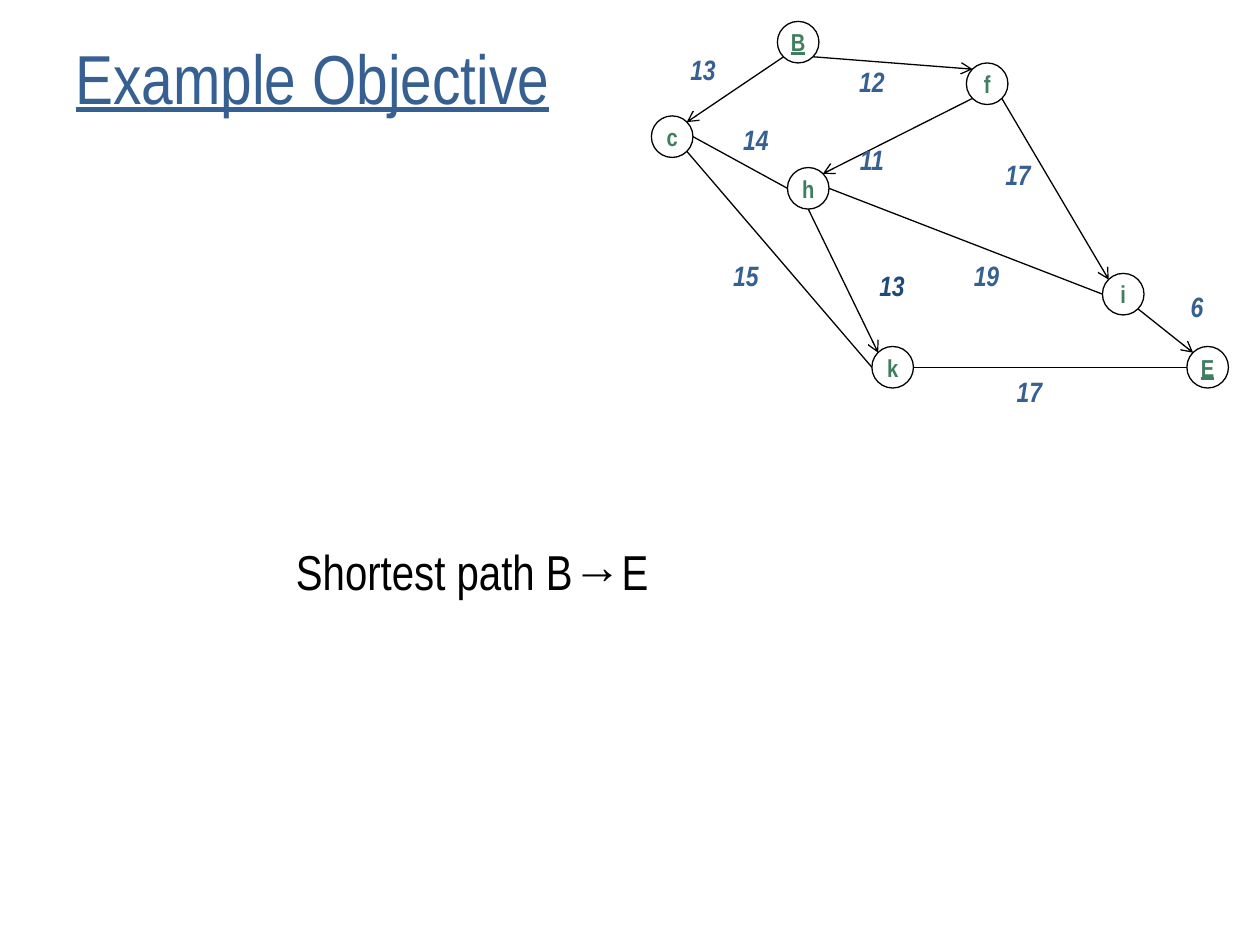
"""Build a slide with a weighted graph and its shortest path objective."""
from lxml import etree
from pptx import Presentation
from pptx.dml.color import RGBColor
from pptx.enum.shapes import MSO_CONNECTOR, MSO_SHAPE
from pptx.enum.text import MSO_ANCHOR, MSO_AUTO_SIZE, PP_ALIGN
from pptx.oxml.ns import qn
from pptx.util import Inches, Pt

STRAIGHT = MSO_CONNECTOR.STRAIGHT
OVAL = MSO_SHAPE.OVAL
MIDDLE = MSO_ANCHOR.MIDDLE
GROW = MSO_AUTO_SIZE.SHAPE_TO_FIT_TEXT
NO_FIT = MSO_AUTO_SIZE.NONE
LEFT, CENTER = PP_ALIGN.LEFT, PP_ALIGN.CENTER

FONT = "Arial Narrow"
COLORS = {"blue": "376092", "navy": "1F497D", "green": "3F7F5F", "black": "000000"}
DIAMETER = 0.33
NODES = {
    "i": (8.75, 2.17), "E": (9.42, 2.75), "c": (5.17, 0.92), "B": (6.17, 0.17),
    "f": (7.67, 0.5), "h": (6.25, 1.33), "k": (6.92, 2.75),
}
SITES = {
    "left": (0, 0.5), "right": (1, 0.5), "bottom": (0.5, 1),
    "top left": (0.15, 0.15), "top right": (0.85, 0.15),
    "bottom left": (0.15, 0.85), "bottom right": (0.85, 0.85),
}
EDGES = [
    ("B", "bottom right", "f", "top left", True),
    ("c", "right", "h", "left", False),
    ("c", "bottom right", "k", "left", False),
    ("h", "right", "i", "left", False),
    ("k", "right", "E", "left", False),
    ("f", "bottom left", "h", "top right", True),
    ("B", "bottom left", "c", "top right", True),
    ("h", "bottom", "k", "top left", True),
    ("f", "bottom right", "i", "top left", True),
    ("i", "bottom right", "E", "top left", True),
]
WEIGHTS = [
    ("12", 6.67, 0.46, "blue"), ("14", 5.75, 0.92, "blue"),
    ("11", 6.67, 1.08, "blue"), ("13", 6.83, 2.08, "navy"),
    ("15", 5.67, 2, "blue"), ("13", 5.33, 0.37, "blue"),
    ("19", 7.58, 2, "blue"), ("17", 7.83, 1.2, "blue"),
    ("17", 7.92, 2.92, "blue"), ("6", 9.25, 2.25, "blue"),
]


def write(frame, text, size, color, align=LEFT, bold=False, italic=False, underline=False):
    """Add one formatted run to the first paragraph of a text frame."""
    para = frame.paragraphs[0]
    para.alignment = align
    span = para.add_run()
    span.text = text
    font = span.font
    font.name, font.size = FONT, Pt(size)
    font.bold, font.italic, font.underline = bold, italic, underline
    font.color.rgb = RGBColor.from_string(COLORS[color])


def site_point(node, site):
    """Return the position of a named site on a node's circle."""
    return [Inches(start + DIAMETER * share) for start, share in zip(NODES[node], SITES[site])]


deck = Presentation()
deck.slide_width, deck.slide_height = Inches(10), Inches(7.5)
page = deck.slides.add_slide(deck.slide_layouts[5])

title = page.shapes.title
title.left, title.top = Inches(0.5), Inches(0.3)
title.width, title.height = Inches(9), Inches(0.62)
title.text_frame.vertical_anchor = MIDDLE
title.text_frame.auto_size = NO_FIT
write(title.text_frame, "Example Objective", 39.6, "blue", underline=True)

for name, (left, top) in NODES.items():
    circle = page.shapes.add_shape(OVAL, Inches(left), Inches(top), Inches(DIAMETER), Inches(DIAMETER))
    circle.shadow.inherit = False
    circle.fill.background()
    circle.line.color.rgb = RGBColor.from_string(COLORS["black"])
    circle.line.width = Pt(0.75)
    frame = circle.text_frame
    frame.margin_left = frame.margin_right = frame.margin_top = frame.margin_bottom = 0
    frame.word_wrap = False
    frame.vertical_anchor = MIDDLE
    write(frame, name, 14, "green", CENTER, bold=True, underline=name in ("B", "E"))

for start, start_site, end, end_site, directed in EDGES:
    edge = page.shapes.add_connector(STRAIGHT, *site_point(start, start_site), *site_point(end, end_site))
    edge.line.color.rgb = RGBColor.from_string(COLORS["black"])
    edge.line.width = Pt(0.75)
    if directed:
        etree.SubElement(edge.line._get_or_add_ln(), qn("a:tailEnd"), type="arrow")
    etree.SubElement(edge._element.spPr, qn("a:effectLst"))

for weight, left, top, color in WEIGHTS:
    box = page.shapes.add_textbox(Inches(left), Inches(top), Inches(0.5), Inches(0.37))
    box.text_frame.word_wrap = True
    box.text_frame.auto_size = GROW
    write(box.text_frame, weight, 16, color, CENTER, bold=True, italic=True)

goal = page.shapes.add_textbox(Inches(2.25), Inches(4.25), Inches(3.42), Inches(0.57))
goal.text_frame.word_wrap = True
goal.text_frame.auto_size = GROW
write(goal.text_frame, "Shortest path B→E", 28, "black")

deck.save("out.pptx")
